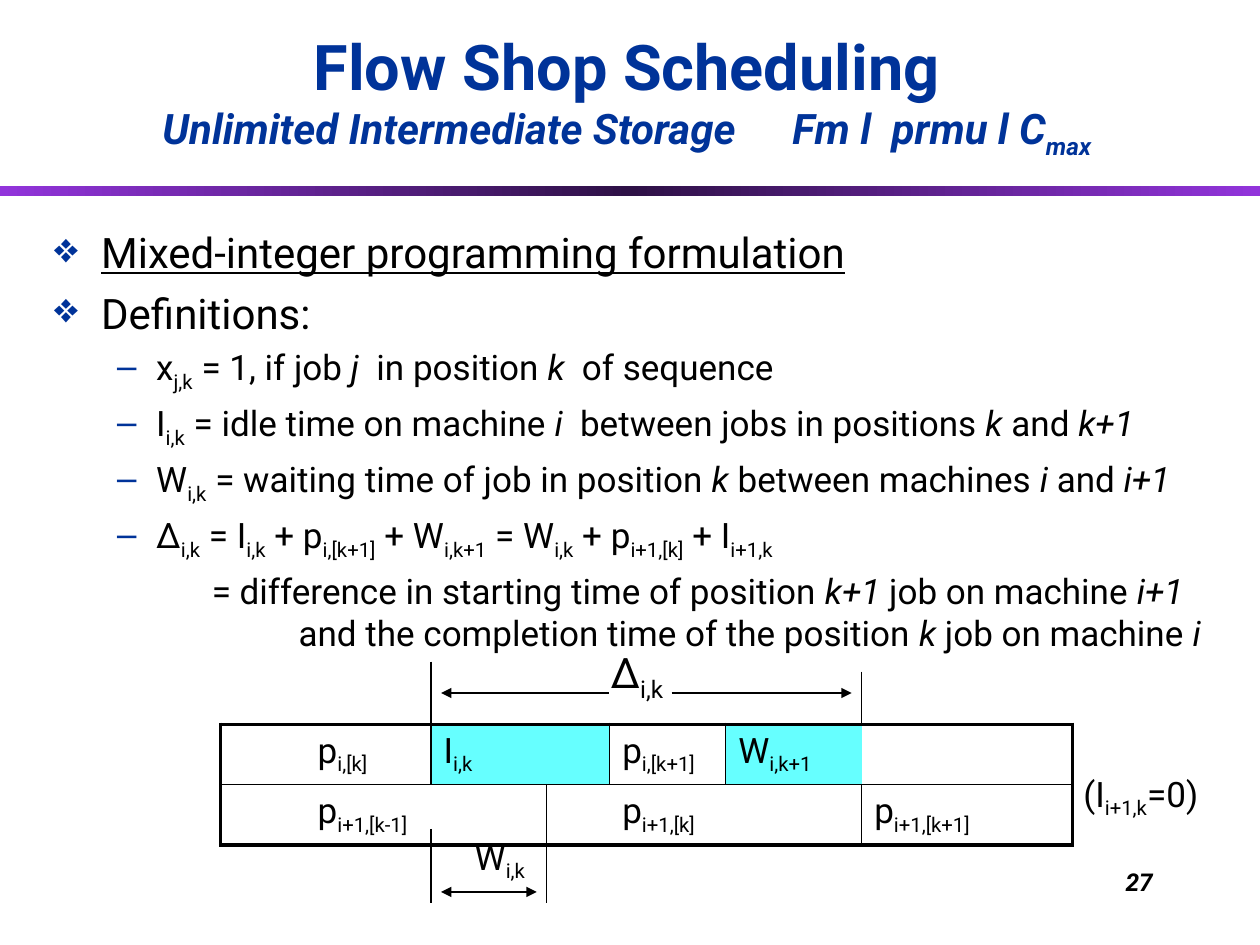
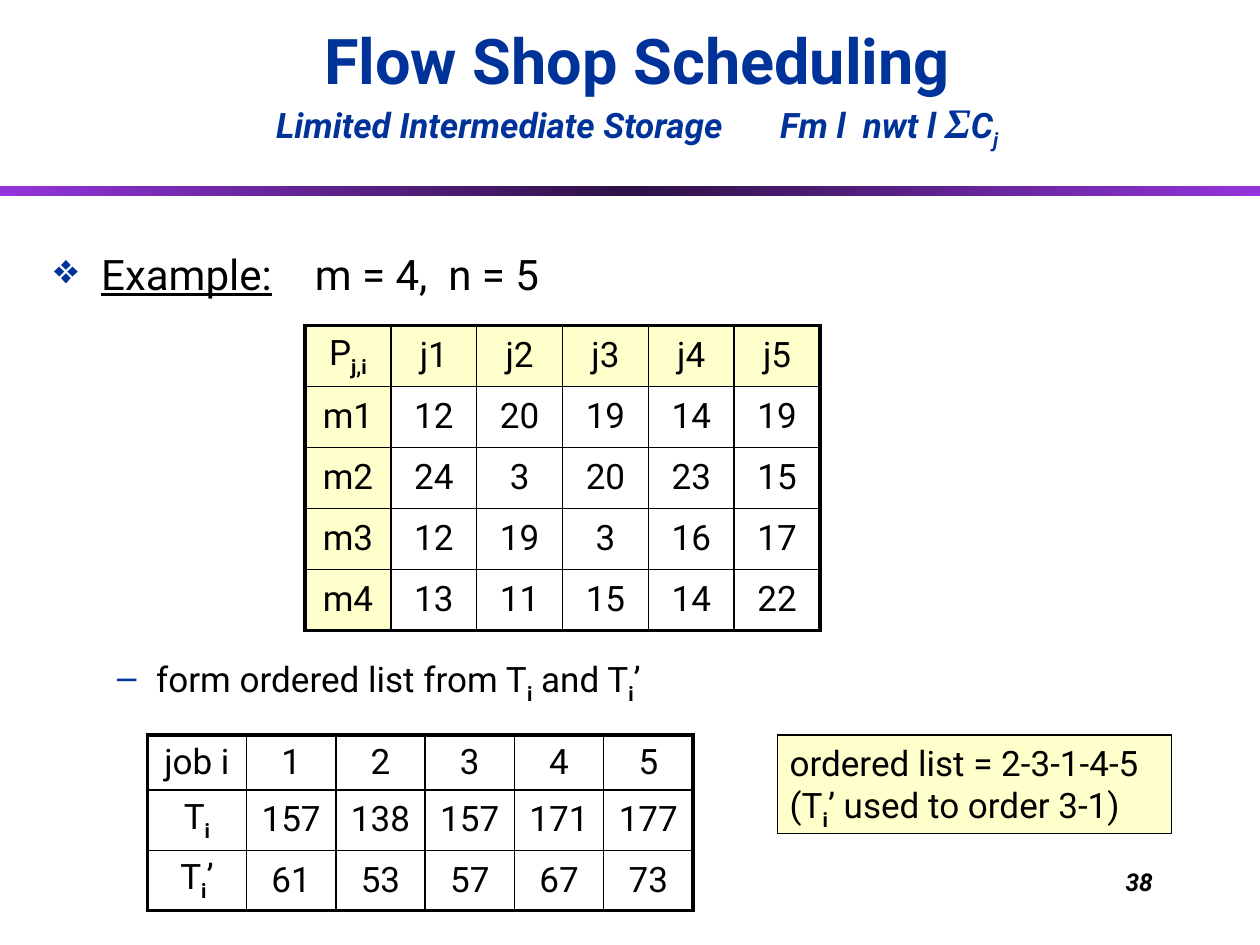
"""Build two flow shop scheduling slides."""
from copy import deepcopy
from dataclasses import dataclass
from itertools import accumulate

from lxml import etree
from pptx import Presentation
from pptx.dml.color import RGBColor
from pptx.enum.shapes import MSO_CONNECTOR, MSO_SHAPE
from pptx.enum.text import MSO_ANCHOR, MSO_AUTO_SIZE, PP_ALIGN
from pptx.oxml.ns import qn
from pptx.util import Cm, Pt

LEFT, CENTER, RIGHT = PP_ALIGN.LEFT, PP_ALIGN.CENTER, PP_ALIGN.RIGHT
TOP, MIDDLE, BOTTOM = MSO_ANCHOR.TOP, MSO_ANCHOR.MIDDLE, MSO_ANCHOR.BOTTOM
NO_FIT = MSO_AUTO_SIZE.NONE
RECT, STRAIGHT = MSO_SHAPE.RECTANGLE, MSO_CONNECTOR.STRAIGHT
SUB, ITALIC, UNDERLINE, BOLD, SYMBOL = MARKS = "_*~^$"


@dataclass(frozen=True)
class Theme:
    font: str = "Roboto"
    symbol_font: str = "Times New Roman"
    ink: str = "000000"
    accent: str = "003399"
    band_edge: str = "9234DB"
    band_middle: str = "2E1146"
    idle: str = "66FFFF"
    note: str = "FFFFCC"
    title: float = 36
    large: float = 24
    text: float = 20
    number: float = 14
    hairline: float = 0.75
    inner_line: float = 1
    outer_line: float = 2.25


@dataclass(frozen=True)
class Level:
    bullet: str
    margin: float
    hang: float
    size: float
    before: float


THEME = Theme()
ITEM = Level("❖", 0.95, 0.95, THEME.large, 5.6)
SUBITEM = Level("–", 2.06, 0.79, THEME.text, 4.7)
DETAIL = Level("", 4.93, 1.75, THEME.text, 4.7)


def rgb(color):
    return RGBColor.from_string(color)


def marked(text):
    on, piece = set(), ""
    for ch in text:
        if ch in MARKS:
            if piece:
                yield piece, set(on)
            on ^= {ch}
            piece = ""
        else:
            piece += ch
    if piece:
        yield piece, on


class Deck:
    def __init__(self, theme):
        self.theme = theme
        self.prs = Presentation()
        self.prs.slide_width, self.prs.slide_height = Cm(25.4), Cm(19.05)
        self.s = None

    def slide(self, number):
        self.s = self.prs.slides.add_slide(self.prs.slide_layouts[5])
        self.band()
        tf = self.box(18.21, 17.35, 5.28, 1.27)
        tf.paragraphs[0].alignment = RIGHT
        self.add_runs(tf.paragraphs[0], f"^*{number}", self.theme.number)

    def band(self):
        sp = self.s.shapes.add_shape(RECT, 0, Cm(3.76), Cm(25.4), Cm(0.2))
        sp.shadow.inherit = False
        sp.line.fill.background()
        sp.fill.gradient()
        sp.fill.gradient_angle = 0
        edge, middle = sp.fill.gradient_stops
        edge.color.rgb = rgb(self.theme.band_edge)
        middle.color.rgb = rgb(self.theme.band_middle)
        middle.position = 0.5
        stops = sp._element.spPr.find(".//" + qn("a:gsLst"))
        last = deepcopy(stops[0])
        last.set("pos", "100000")
        stops.append(last)

    def add_runs(self, p, text, size, color=None):
        for piece, on in marked(text):
            r = p.add_run()
            r.text = piece
            f = r.font
            symbol = SYMBOL in on
            f.name = self.theme.symbol_font if symbol else self.theme.font
            f.size = Pt(self.theme.large if symbol else size)
            f.color.rgb = rgb(color or self.theme.ink)
            f.bold, f.italic, f.underline = (m in on for m in (BOLD, ITALIC, UNDERLINE))
            if SUB in on:
                r._r.get_or_add_rPr().set("baseline", "-25000")

    def title(self, x, height, subtitle, size):
        sp = self.s.shapes.title
        sp.left, sp.top, sp.width, sp.height = Cm(x), Cm(0.64), Cm(24.41), Cm(height)
        tf = sp.text_frame
        tf.auto_size, tf.vertical_anchor = NO_FIT, BOTTOM
        p = tf.paragraphs[0]
        p.alignment = CENTER
        self.add_runs(p, "^Flow Shop Scheduling", self.theme.title, self.theme.accent)
        p.add_line_break()
        self.add_runs(p, "^*" + subtitle, size, self.theme.accent)

    def box(self, x, y, w, h):
        tf = self.s.shapes.add_textbox(Cm(x), Cm(y), Cm(w), Cm(h)).text_frame
        tf.word_wrap = True
        return tf

    def label(self, x, y, w, h, text, size):
        self.add_runs(self.box(x, y, w, h).paragraphs[0], text, size)

    def body(self, y, h, items, tab=None):
        tf = self.box(0.84, y, 23.93, h)
        for i, (level, text, *before) in enumerate(items):
            p = tf.add_paragraph() if i else tf.paragraphs[0]
            pPr = p._p.get_or_add_pPr()
            pPr.set("marL", str(Cm(level.margin)))
            pPr.set("indent", str(-Cm(level.hang)))
            if level.bullet:
                clr = etree.SubElement(pPr, qn("a:buClr"))
                etree.SubElement(clr, qn("a:srgbClr"), val=self.theme.accent)
                etree.SubElement(pPr, qn("a:buChar"), char=level.bullet)
            if "\t" in text:
                tabs = etree.SubElement(pPr, qn("a:tabLst"))
                etree.SubElement(tabs, qn("a:tab"), pos=str(Cm(tab)), algn="l")
            if i:
                p.space_before = Pt(before[0] if before else level.before)
            self.add_runs(p, text, level.size)

    def note(self, x, y, w, h, lines):
        sp = self.s.shapes.add_shape(RECT, Cm(x), Cm(y), Cm(w), Cm(h))
        sp.shadow.inherit = False
        sp.fill.solid()
        sp.fill.fore_color.rgb = rgb(self.theme.note)
        sp.line.color.rgb = rgb(self.theme.ink)
        sp.line.width = Pt(self.theme.hairline)
        tf = sp.text_frame
        tf.word_wrap, tf.vertical_anchor = True, TOP
        for i, text in enumerate(lines):
            p = tf.add_paragraph() if i else tf.paragraphs[0]
            p.alignment = LEFT
            self.add_runs(p, text, self.theme.text)

    def line(self, x1, y1, x2, y2, *arrows):
        cx = self.s.shapes.add_connector(STRAIGHT, Cm(x1), Cm(y1), Cm(x2), Cm(y2))
        cx.line.color.rgb = rgb(self.theme.ink)
        cx.line.width = Pt(self.theme.hairline)
        ln = cx._element.spPr.find(qn("a:ln"))
        for end in arrows:
            etree.SubElement(ln, qn(f"a:{end}"), type="triangle")
        etree.SubElement(cx._element.spPr, qn("a:effectLst"))

    def border(self, cell, side, width):
        tcPr = cell._tc.get_or_add_tcPr()
        ln = etree.SubElement(tcPr, qn(f"a:ln{side}"), w=str(Pt(width)))
        if width:
            fill = etree.SubElement(ln, qn("a:solidFill"))
            etree.SubElement(fill, qn("a:srgbClr"), val=self.theme.ink)
        else:
            etree.SubElement(ln, qn("a:noFill"))

    def table(self, x, y, widths, heights, rows, align=CENTER, anchor=MIDDLE,
              fills=None, dividers=None, merges=()):
        n, m = len(heights), len(widths)
        frame = self.s.shapes.add_table(
            n, m, Cm(x), Cm(y), Cm(sum(widths)), Cm(sum(heights)))
        tbl = frame.table
        tbl.first_row = tbl.horz_banding = False
        for col, w in zip(tbl.columns, widths):
            col.width = Cm(w)
        for row, h in zip(tbl.rows, heights):
            row.height = Cm(h)

        def upright(r, c):
            if c in (0, m):
                return self.theme.outer_line
            return self.theme.inner_line if dividers is None or c in dividers[r] else 0

        def level(r):
            return self.theme.outer_line if r in (0, n) else self.theme.inner_line

        for r, row in enumerate(rows):
            for c, text in enumerate(row):
                cell = tbl.cell(r, c)
                cell.vertical_anchor = anchor
                widths_by_side = zip("LRTB", (upright(r, c), upright(r, c + 1),
                                              level(r), level(r + 1)))
                for side, width in widths_by_side:
                    self.border(cell, side, width)
                if fills and (r, c) in fills:
                    cell.fill.solid()
                    cell.fill.fore_color.rgb = rgb(fills[r, c])
                else:
                    cell.fill.background()
                p = cell.text_frame.paragraphs[0]
                p.alignment = align
                self.add_runs(p, text, self.theme.text)
        for r, c in merges:
            tbl.cell(r, c).merge(tbl.cell(r, c + 1))


def formulation(deck):
    t = deck.theme
    deck.slide(27)
    deck.title(0.43, 2.72, "Unlimited Intermediate Storage\tFm l  prmu l C_max", t.large)
    deck.body(4.45, 8.69, [
        (ITEM, "~Mixed-integer programming formulation"),
        (ITEM, "Definitions:"),
        (SUBITEM, "x_j,k_ = 1, if job *j*  in position *k  *of sequence"),
        (SUBITEM, "I_i,k_ = idle time on machine *i  *between jobs in positions *k* and *k+1"),
        (SUBITEM, "W_i,k_ = waiting time of job in position *k* between machines *i* and *i+1"),
        (SUBITEM, "Δ_i,k_ = I_i,k_ + p_i,[k+1]_ + W_i,k+1_ = W_i,k_ + p_i+1,[k]_ + I_i+1,k"),
        (DETAIL, "= difference in starting time of position *k+1* job on machine *i+1* "
                 "and the completion time of the position *k* job on machine *i"),
    ])

    left, top = 4.45, 14.6
    widths = [1.7, 2.54, 0.5, 1.83, 1.27, 2.34, 2.74, 3.18, 1.07]
    deck.table(
        left, top, widths, [1.19] * 2,
        [["", "p_i,[k]", "I_i,k", "", "", "p_i,[k+1]", "W_i,k+1", "", ""],
         ["", "p_i+1,[k-1]", "", "", "", "p_i+1,[k]", "", "p_i+1,[k+1]", ""]],
        align=LEFT, anchor=TOP, fills={(0, c): t.idle for c in (2, 3, 4, 6)},
        dividers=[{2, 5, 6}, {4, 7}], merges=[(0, 2), (1, 1)])

    edges = list(accumulate(widths, initial=left))
    idle_start, wait_end, delta_end = edges[2], edges[4], edges[7]
    for x, y1, y2 in [(idle_start, 13.34, top), (delta_end, 13.54, top),
                      (idle_start, 16.71, 18.21), (wait_end, 16.71, 18.21)]:
        deck.line(x, y1, x, y2)
    gap, delta_y, wait_y = 0.2, 13.97, 17.98
    deck.line(12.27, delta_y, idle_start + gap, delta_y, "tailEnd")
    deck.line(13.54, delta_y, delta_end - gap, delta_y, "tailEnd")
    deck.line(idle_start + gap, wait_y, wait_end - gap, wait_y, "headEnd", "tailEnd")
    deck.label(12.06, 12.9, 2, 1.27, "Δ_i,k", t.large)
    deck.label(9.32, 16.71, 2, 1.1, "W_i,k", t.text)
    deck.label(21.59, 15.44, 3.48, 1.12, "(I_i+1,k_=0)", t.text)


def example(deck):
    t = deck.theme
    deck.slide(38)
    deck.title(0.64, 2.54, "Limited Intermediate Storage\tFm l  nwt l $Σ$C_j", t.text)
    deck.body(4.88, 13.34, [
        (ITEM, "~Example:~\tm = 4,  n = 5"),
        (SUBITEM, "form ordered list from T_^i_^ and T_^i_^’", 205),
    ], tab=5.26)

    times = [["P_^j,i", "j1", "j2", "j3", "j4", "j5"],
             ["m1", "12", "20", "19", "14", "19"],
             ["m2", "24", "3", "20", "23", "15"],
             ["m3", "12", "19", "3", "16", "17"],
             ["m4", "13", "11", "15", "14", "22"]]
    headers = {(r, c): t.note for r in range(5) for c in range(6) if not r * c}
    deck.table(6.15, 6.56, [1.73] * 6, [1.23] * 5, times, fills=headers)

    totals = [["job i", "1", "2", "3", "4", "5"],
              ["T_^i", "157", "138", "157", "171", "177"],
              ["T_^i_^’", "61", "53", "57", "67", "73"]]
    deck.table(2.97, 14.82, [2] + [1.8] * 5, [1.09, 1.18, 1.18], totals)
    deck.note(15.67, 14.82, 7.95, 1.98,
              ["ordered list = 2-3-1-4-5", "(T_^i_^’ used to order 3-1)"])


def main():
    deck = Deck(THEME)
    formulation(deck)
    example(deck)
    deck.prs.save("out.pptx")


if __name__ == "__main__":
    main()
